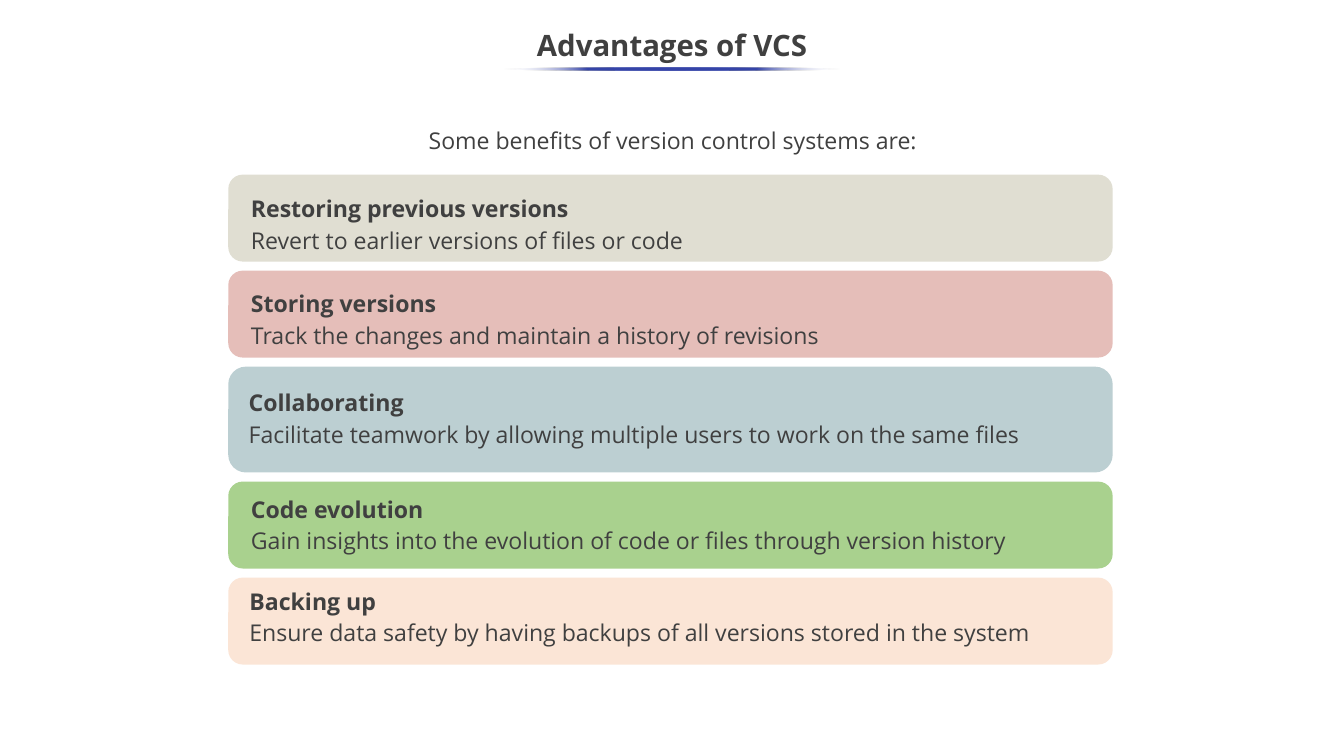
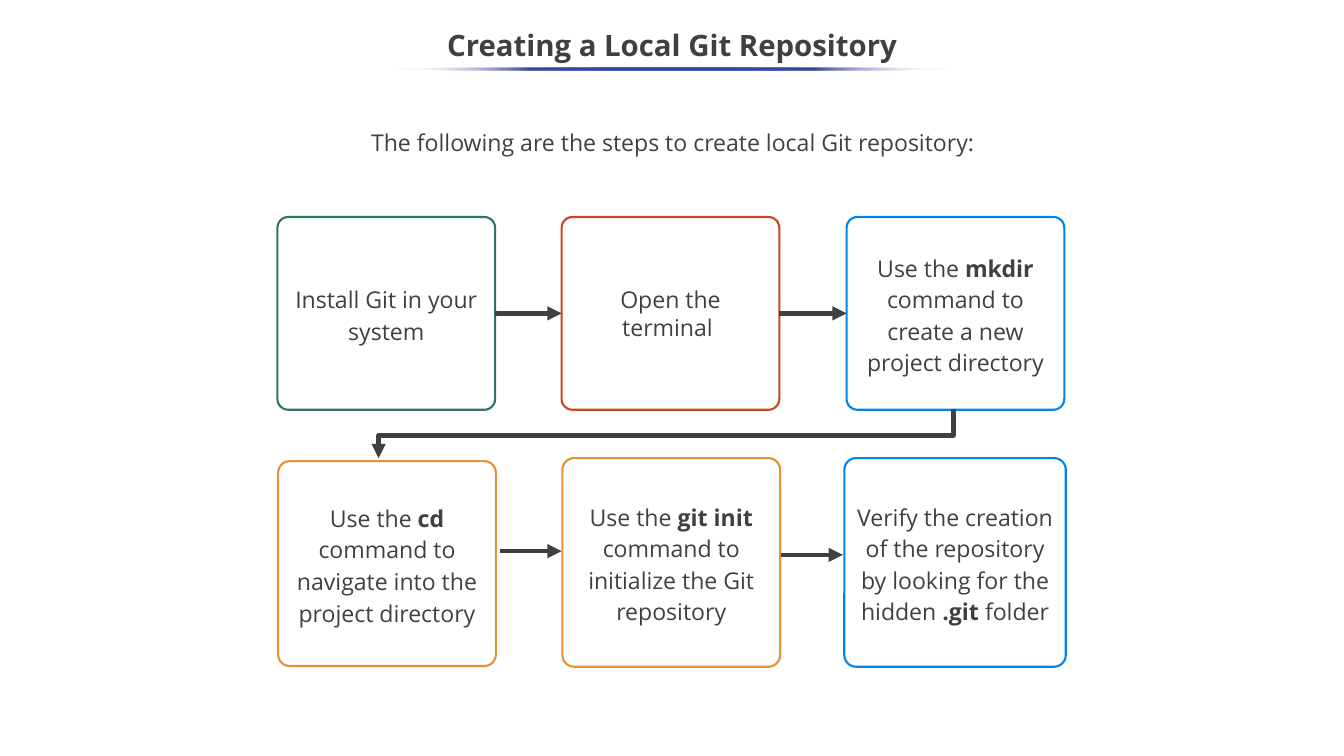
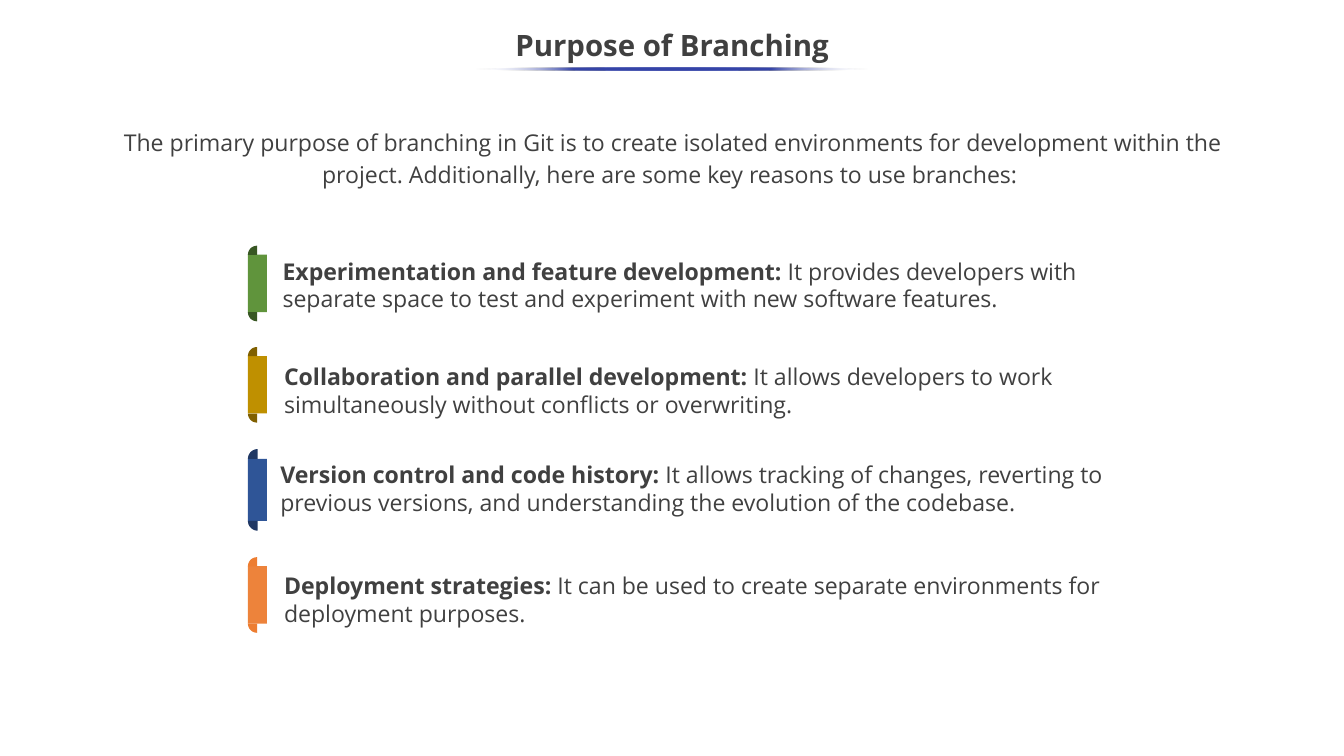
import math
from dataclasses import dataclass

from lxml import etree
from pptx import Presentation
from pptx.dml.color import RGBColor
from pptx.enum import shapes, text
from pptx.oxml import ns
from pptx.util import Inches, Pt


@dataclass(frozen=True)
class Theme:
    font: str = "Open Sans"
    ink: str = "404040"
    accent: str = "3645A9"
    white: str = "FFFFFF"
    title_size: int = 28
    body_size: int = 22
    box_line: float = 2
    arrow_line: float = 4.5


THEME = Theme()
SLIDE_WIDTH, SLIDE_HEIGHT = 17.78, 10
CENTER, MIDDLE, TOP = text.PP_ALIGN.CENTER, text.MSO_ANCHOR.MIDDLE, text.MSO_ANCHOR.TOP

# In all wording, ** switches bold on and off and a line feed is a line break.
# Advantage: card colour, card height, text left, text top, text height, wording
ADVANTAGES = [
    ("E0DED2", 1.15, 3.17, 2.46, 0.97,
     "**Restoring previous versions**\nRevert to earlier versions of files or code"),
    ("E5BEB9", 1.15, 3.17, 3.71, 0.97,
     "**Storing versions**\nTrack the changes and maintain a history of revisions"),
    ("BCCFD2", 1.4, 3.14, 4.95, 1.11,
     "**Collaborating**\nFacilitate teamwork by allowing multiple users to work on the same files"),
    ("A9D18E", 1.15, 3.17, 6.43, 0.97,
     "**Code evolution**\nGain insights into the evolution of code or files through version history"),
    ("FBE5D6", 1.15, 3.15, 7.65, 0.97,
     "**Backing up**\nEnsure data safety by having backups of all versions stored in the system"),
]
CARD_LEFT, CARD_TOP, CARD_WIDTH, CARD_GAP = 3.02, 2.31, 11.7, 0.12

# Step: frame, line colour, line spacing, wording
STEPS = [
    ((3.67, 2.87, 2.88, 2.55), "32736D", 1.14, "Install Git in your system"),
    ((7.43, 2.87, 2.88, 2.55), "C9471C", 1, "Open the terminal "),
    ((11.2, 2.87, 2.88, 2.55), "0284EF", 1.14,
     "Use the **mkdir** command to create a new project directory"),
    ((3.68, 6.1, 2.88, 2.71), "E69138", 1.14,
     "Use the **cd** command to navigate into the project directory"),
    ((7.44, 6.06, 2.88, 2.76), "E69138", 1.14,
     "Use the **git init **command to initialize the Git repository"),
    ((11.17, 6.06, 2.93, 2.76), "0284EF", 1.14,
     "Verify the creation of the repository by looking for the hidden **.git **folder"),
]
JOINED_STEPS = [(0, 1), (1, 2)]
LOWER_ARROWS = [(6.61, 7.43, 7.29), (10.33, 11.15, 7.34)]  # start x, end x, y
ROW_TURN = [(12.61, 5.41), (12.61, 5.76), (5.01, 5.76), (5.01, 6.06)]

# Reason: bar colour, curl colour, bar top, bar height, curl radius, text left, text top, wording
REASONS = [
    ("60943C", "385723", 3.37, 0.76, 0.12, 3.64, 3.35,
     "**Experimentation and feature development: **It provides developers with separate "
     "space to test and experiment with new software features."),
    ("BF9000", "806000", 4.71, 0.76, 0.12, 3.66, 4.75,
     "**Collaboration and parallel development: **It allows developers to work "
     "simultaneously without conflicts or overwriting."),
    ("2F5597", "203864", 6.07, 0.82, 0.13, 3.61, 6.04,
     "**Version control and code history:** It allows tracking of changes, reverting to "
     "previous versions, and understanding the evolution of the codebase."),
    ("ED833B", "ED7D31", 7.49, 0.76, 0.12, 3.66, 7.51,
     "**Deployment strategies: **It can be used to create separate environments for "
     "deployment purposes."),
]
BAR_LEFT, BAR_WIDTH = 3.28, 0.25


def inches(values):
    return [Inches(value) for value in values]


def set_all(target, values):
    for name, value in values.items():
        setattr(target, name, value)


def write(shape, wording, size=THEME.body_size, bold=False, align=None, spacing=1,
          anchor=TOP, insets=(0.1, 0.05, 0.1, 0.05), auto_size=text.MSO_AUTO_SIZE.NONE):
    frame = shape.text_frame
    sides = ("margin_left", "margin_top", "margin_right", "margin_bottom")
    set_all(frame, {"word_wrap": True, "vertical_anchor": anchor, "auto_size": auto_size,
                    **dict(zip(sides, inches(insets)))})
    paragraph = frame.paragraphs[0]
    set_all(paragraph, {"alignment": align, "line_spacing": spacing, "space_before": Pt(0)})
    for index, piece in enumerate(wording.split("**")):
        for line_index, line in enumerate(piece.split("\n")):
            if line_index:
                paragraph.add_line_break()
            if line:
                run = paragraph.add_run()
                run.text = line
                set_all(run.font, {"name": THEME.font, "size": Pt(size),
                                   "bold": bold or index % 2 == 1})
                run.font.color.rgb = RGBColor.from_string(THEME.ink)
    return paragraph


def paint(shape, fill=None, line=None, width=THEME.box_line):
    shape.shadow.inherit = False
    for part, color in ((shape.fill, fill), (shape.line.fill, line)):
        if color:
            part.solid()
            part.fore_color.rgb = RGBColor.from_string(color)
        else:
            part.background()
    if line:
        shape.line.width = Pt(width)


def add_box(slide, kind, frame, fill, line=None):
    shape = slide.shapes.add_shape(kind, *inches(frame))
    paint(shape, fill, line)
    return shape


def add_text(slide, frame, wording, **format_values):
    write(slide.shapes.add_textbox(*inches(frame)), wording, **format_values)


def add_outline(slide, points, close):
    corners = [tuple(inches(point)) for point in points]
    builder = slide.shapes.build_freeform(*corners[0])
    builder.add_line_segments(corners[1:], close=close)
    return builder.convert_to_shape()


def add_arrowhead(shape):
    line = shape.line._get_or_add_ln()
    etree.SubElement(line, ns.qn("a:tailEnd"), type="triangle")


def add_arrow(slide, start, end):
    arrow = slide.shapes.add_connector(shapes.MSO_CONNECTOR.STRAIGHT, *inches(start + end))
    arrow.line.color.rgb = RGBColor.from_string(THEME.ink)
    arrow.line.width = Pt(THEME.arrow_line)
    add_arrowhead(arrow)
    etree.SubElement(arrow._element.spPr, ns.qn("a:effectLst"))
    return arrow


def add_underline(slide, width):
    """Draw the thin title rule that fades out at both ends."""
    left = (SLIDE_WIDTH - width) / 2
    rule = add_box(slide, shapes.MSO_SHAPE.OVAL, (left, 0.89, width, 0.04), THEME.accent)
    rule.fill.gradient()
    rule.fill.gradient_angle = 180
    stops = rule._element.spPr.find(ns.qn("a:gradFill")).find(ns.qn("a:gsLst"))
    for stop in list(stops):
        stops.remove(stop)
    for percent in range(0, 101, 25):
        faded = percent in (0, 100)
        stop = etree.SubElement(stops, ns.qn("a:gs"), pos=str(percent * 1000))
        color = etree.SubElement(stop, ns.qn("a:srgbClr"),
                                 val=THEME.white if faded else THEME.accent)
        if faded:
            etree.SubElement(color, ns.qn("a:alpha"), val="0")


def place(shape, frame):
    set_all(shape, dict(zip(("left", "top", "width", "height"), inches(frame))))


def new_slide(presentation, title, rule_width, intro, intro_top=1.65, spacing=1.15, anchor=TOP):
    slide = presentation.slides.add_slide(presentation.slide_layouts[1])
    heading, body = slide.placeholders
    place(heading, (0, 0.25, SLIDE_WIDTH, 0.75))
    write(heading, title, THEME.title_size, True, CENTER, 0.9, MIDDLE)
    place(body, (1.41, intro_top, 14.98, 0.99))
    paragraph = write(body, intro, align=CENTER, spacing=spacing, anchor=anchor,
                      insets=(0.1, 0, 0.1, 0))
    properties = paragraph._p.get_or_add_pPr()
    properties.set("marL", "0")
    properties.set("indent", "0")
    etree.SubElement(properties, ns.qn("a:buNone"))
    add_underline(slide, rule_width)
    return slide


def build_advantages(presentation):
    slide = new_slide(presentation, "Advantages of VCS", 4.47,
                      "Some benefits of version control systems are:", 1.36, 1, MIDDLE)
    top = CARD_TOP
    for color, height, text_left, text_top, text_height, wording in ADVANTAGES:
        add_box(slide, shapes.MSO_SHAPE.ROUNDED_RECTANGLE,
                (CARD_LEFT, top, CARD_WIDTH, height), color)
        add_text(slide, (text_left, text_top, 11.16, text_height), wording, spacing=1.14,
                 anchor=MIDDLE, insets=(0.15, 0.05, 0.15, 0.05))
        top += height + CARD_GAP


def build_steps(presentation):
    slide = new_slide(presentation, "Creating a Local Git Repository", 7.45,
                      "The following are the steps to create local Git repository:")
    boxes = []
    for frame, color, spacing, wording in STEPS:
        box = add_box(slide, shapes.MSO_SHAPE.ROUNDED_RECTANGLE, frame, THEME.white, color)
        box.adjustments[0] = 0.056
        write(box, wording, align=CENTER, spacing=spacing, anchor=MIDDLE, insets=[0.1] * 4)
        boxes.append(box)
    for first, second in JOINED_STEPS:
        arrow = add_arrow(slide, (0, 0), (1, 1))
        arrow.begin_connect(boxes[first], 3)
        arrow.end_connect(boxes[second], 1)
    for start, end, y in LOWER_ARROWS:
        add_arrow(slide, (start, y), (end, y))
    turn = add_outline(slide, ROW_TURN, close=False)
    paint(turn, line=THEME.ink, width=THEME.arrow_line)
    add_arrowhead(turn)


def add_curl(slide, y, radius, direction, color):
    """Draw a quarter disc above (direction -1) or below (1) the bar's end at y."""
    center = BAR_LEFT + radius
    angles = [math.radians(degrees) for degrees in range(0, 91, 10)]
    arc = [(center - radius * math.cos(angle), y + direction * radius * math.sin(angle))
           for angle in angles]
    paint(add_outline(slide, [(center, y)] + arc, close=True), color)


def build_reasons(presentation):
    slide = new_slide(
        presentation, "Purpose of Branching", 5.2,
        "The primary purpose of branching in Git is to create isolated environments for "
        "development within the project. Additionally, here are some key reasons to use "
        "branches: ")
    for bar_color, curl_color, top, height, radius, left, text_top, wording in REASONS:
        add_box(slide, shapes.MSO_SHAPE.RECTANGLE, (BAR_LEFT, top, BAR_WIDTH, height), bar_color)
        add_curl(slide, top, radius, -1, curl_color)
        add_curl(slide, top + height, radius, 1, curl_color)
        add_text(slide, (left, text_top, 11.54, 0.84), wording,
                 auto_size=text.MSO_AUTO_SIZE.SHAPE_TO_FIT_TEXT)


def main():
    presentation = Presentation()
    presentation.slide_width = Inches(SLIDE_WIDTH)
    presentation.slide_height = Inches(SLIDE_HEIGHT)
    build_advantages(presentation)
    build_steps(presentation)
    build_reasons(presentation)
    presentation.save("out.pptx")


if __name__ == "__main__":
    main()
